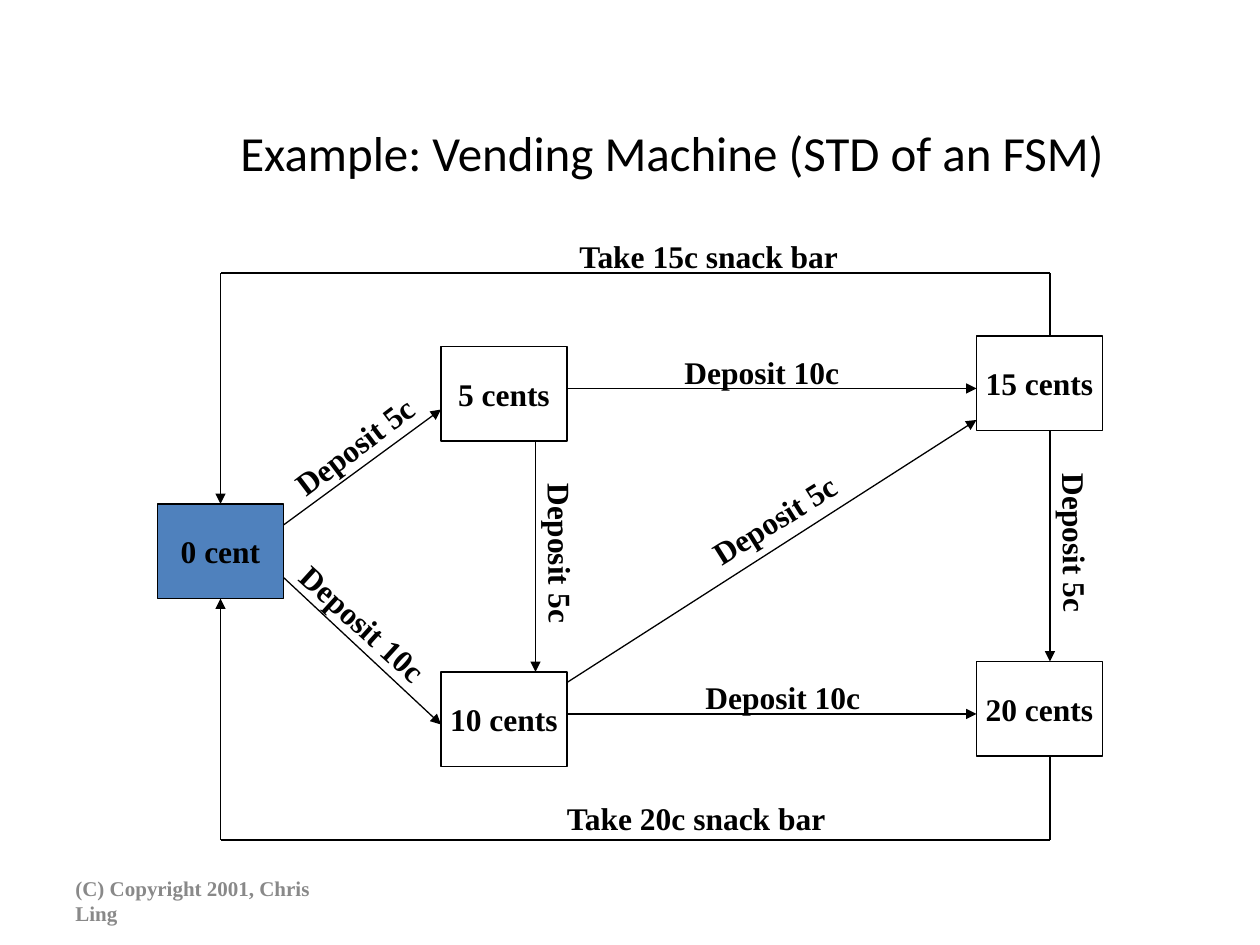
from lxml.etree import SubElement
from pptx import Presentation
from pptx.dml.color import RGBColor
from pptx.enum.shapes import MSO_CONNECTOR, MSO_SHAPE
from pptx.enum.text import MSO_ANCHOR, MSO_AUTO_SIZE, PP_ALIGN
from pptx.oxml.ns import qn
from pptx.util import Emu, Pt

SCALE = 7620
BLACK = RGBColor(0, 0, 0)
WHITE = RGBColor(255, 255, 255)
BLUE = RGBColor(0x4F, 0x81, 0xBD)
GRAY = RGBColor(0x89, 0x89, 0x89)

TITLE = {"name": "Calibri", "size": Pt(28)}
LABEL = {"name": "Times New Roman", "size": Pt(18), "bold": True}
NOTE = {**LABEL, "size": Pt(12)}

MIDDLE = {"vertical_anchor": MSO_ANCHOR.MIDDLE, "word_wrap": True}
STATE = {"vertical_anchor": MSO_ANCHOR.MIDDLE, "word_wrap": False}
FIT = {"word_wrap": False, "auto_size": MSO_AUTO_SIZE.SHAPE_TO_FIT_TEXT}

STATES = [
    ("0 cent", 150, 480, BLUE),
    ("5 cents", 420, 330, WHITE),
    ("10 cents", 420, 640, WHITE),
    ("15 cents", 930, 320, WHITE),
    ("20 cents", 930, 630, WHITE),
]
ARROWS = [
    (270, 500, 420, 390),
    (270, 550, 420, 690),
    (540, 370, 930, 370),
    (540, 680, 930, 680),
    (510, 420, 510, 640),
    (540, 650, 930, 400),
    (1000, 410, 1000, 630),
]
RETURNS = [(320, 260, 480, 0), (720, 800, 570, 2)]
LABELS = [
    ("Deposit 5c", 259, 400, 158, 322.8),
    ("Deposit 10c", 260, 570, 172, 42.2),
    ("Deposit 10c", 640, 330, 172, 0),
    ("Deposit 10c", 660, 640, 172, 0),
    ("Deposit 5c", 455, 504, 158, 89.5),
    ("Deposit 5c", 659, 470, 158, 327.9),
    ("Deposit 5c", 945, 494, 158, 89.4),
    ("Take 20c snack bar", 528, 755, 272, 0),
    ("Take 15c snack bar", 540, 220, 272, 0),
]


def px(*sizes):
    return [Emu(size * SCALE) for size in sizes]


def apply(item, style):
    for key, value in style.items():
        setattr(item, key, value)


def write(shape, text, font, frame, align=PP_ALIGN.LEFT, color=BLACK):
    body = shape.text_frame
    body.text = text
    apply(body, frame)
    line = body.paragraphs[0]
    line.alignment = align
    apply(line.font, font)
    line.font.color.rgb = color


def add_text(slide, box, text, font, frame, align=PP_ALIGN.LEFT, color=BLACK, turn=0):
    shape = slide.shapes.add_textbox(*px(*box))
    write(shape, text, font, frame, align, color)
    shape.rotation = turn


def add_state(slide, text, left, top, fill):
    shape = slide.shapes.add_shape(MSO_SHAPE.RECTANGLE, *px(left, top, 120, 90))
    shape.shadow.inherit = False
    shape.fill.solid()
    shape.fill.fore_color.rgb = fill
    shape.line.color.rgb = BLACK
    shape.line.width = Pt(0.75)
    write(shape, text, LABEL, STATE, PP_ALIGN.CENTER)
    return shape


def add_line(slide, ends, arrow=True):
    line = slide.shapes.add_connector(MSO_CONNECTOR.STRAIGHT, *px(*ends))
    line.line.color.rgb = BLACK
    line.line.width = Pt(0.75)
    if arrow:
        SubElement(line.line._get_or_add_ln(), qn("a:tailEnd"), type="triangle")
    SubElement(line._element.spPr, qn("a:effectLst"))
    return line


def add_return(slide, start, level, end, side, home):
    add_line(slide, (1000, start, 1000, level), False)
    add_line(slide, (1000, level, 210, level), False)
    add_line(slide, (210, level, 210, end)).end_connect(home, side)


def main():
    deck = Presentation()
    deck.slide_width, deck.slide_height = px(1200, 900)
    slide = deck.slides.add_slide(deck.slide_layouts[6])
    add_text(slide, (130, 90, 1020, 110), "Example: Vending Machine (STD of an FSM)",
             TITLE, MIDDLE, PP_ALIGN.CENTER)
    add_text(slide, (60, 834, 280, 48), "(C) Copyright 2001, Chris Ling",
             NOTE, MIDDLE, color=GRAY)
    boxes = [add_state(slide, *state) for state in STATES]
    for ends in ARROWS:
        add_line(slide, ends)
    for route in RETURNS:
        add_return(slide, *route, boxes[0])
    for text, left, top, width, turn in LABELS:
        add_text(slide, (left, top, width, 48), text, LABEL, FIT, turn=turn)
    deck.save("out.pptx")


if __name__ == "__main__":
    main()
